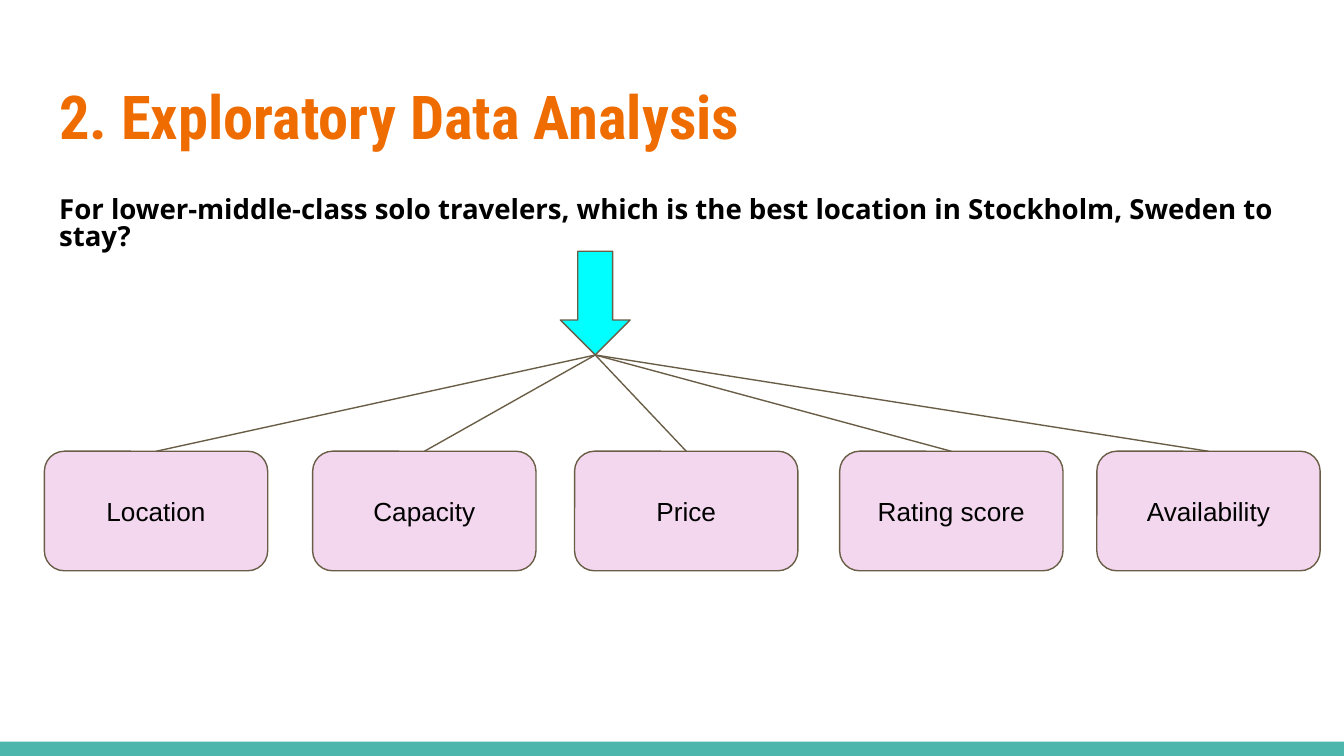
"""Build the exploratory data analysis slide with its question and five factors."""
from dataclasses import dataclass

from lxml.etree import SubElement
from pptx import Presentation
from pptx.dml.color import RGBColor
from pptx.enum.shapes import MSO_CONNECTOR as Connector, MSO_SHAPE as Shape
from pptx.enum.text import MSO_ANCHOR as Anchor, MSO_AUTO_SIZE as AutoSize, PP_ALIGN as Align
from pptx.oxml.ns import qn
from pptx.util import Cm, Pt

COLORS = {
    "background": "FFFFFF",
    "footer": "4DB6AC",
    "title": "EF6C00",
    "text": "000000",
    "arrow": "00FFFF",
    "factor": "F2D7EE",
    "outline": "695D46",
}
BOTTOM, TOP = 2, 0


@dataclass(frozen=True)
class Area:
    left: float
    top: float
    width: float
    height: float

    def lengths(self) -> tuple:
        return tuple(Cm(value) for value in (self.left, self.top, self.width, self.height))


@dataclass(frozen=True)
class Style:
    font: str
    size: float
    color: str
    bold: bool = False


@dataclass(frozen=True)
class Factor:
    label: str
    left: float


TITLE_STYLE = Style("Roboto Condensed", 32.4, "title", True)
QUESTION_STYLE = Style("Open Sans", 14.8, "text", True)
FACTOR_STYLE = Style("Arial", 14, "text")
FACTORS = [
    Factor("Location", 0.84),
    Factor("Capacity", 5.91),
    Factor("Price", 10.86),
    Factor("Rating score", 15.87),
    Factor("Availability", 20.73),
]


def color(name: str) -> RGBColor:
    return RGBColor.from_string(COLORS[name])


def write(box, text: str, style: Style, align=Align.LEFT, anchor=Anchor.TOP):
    frame = box.text_frame
    frame.word_wrap = True
    frame.auto_size = AutoSize.NONE
    frame.vertical_anchor = anchor
    frame.margin_left = frame.margin_right = Cm(0.25)
    frame.margin_top = frame.margin_bottom = Cm(0.25)
    para = frame.paragraphs[0]
    para.alignment = align
    span = para.add_run()
    span.text = text
    span.font.name = style.font
    span.font.size = Pt(style.size)
    span.font.bold = style.bold
    span.font.color.rgb = color(style.color)
    return para


def outline(line) -> None:
    line.color.rgb = color("outline")
    line.width = Pt(0.75)


def draw_shape(page, kind, area: Area, fill: str, outlined: bool = True):
    box = page.shapes.add_shape(kind, *area.lengths())
    box.shadow.inherit = False
    box.fill.solid()
    box.fill.fore_color.rgb = color(fill)
    if outlined:
        outline(box.line)
    else:
        box.line.fill.background()
    return box


def draw_factor(page, factor: Factor):
    area = Area(factor.left, 8.53, 4.22, 2.26)
    box = draw_shape(page, Shape.ROUNDED_RECTANGLE, area, "factor")
    write(box, factor.label, FACTOR_STYLE, Align.CENTER, Anchor.MIDDLE)
    return box


def join(page, source, target) -> None:
    link = page.shapes.add_connector(Connector.STRAIGHT, 0, 0, 0, 0)
    link.begin_connect(source, BOTTOM)
    link.end_connect(target, TOP)
    outline(link.line)
    SubElement(link.element.spPr, qn("a:effectLst"))


def main() -> None:
    deck = Presentation()
    deck.slide_width, deck.slide_height = Cm(25.4), Cm(14.29)
    page = deck.slides.add_slide(deck.slide_layouts[5])
    page.background.fill.solid()
    page.background.fill.fore_color.rgb = color("background")

    draw_shape(page, Shape.RECTANGLE, Area(0, 14.02, 25.4, 0.27), "footer", outlined=False)

    title = page.shapes.title
    title.left, title.top, title.width, title.height = Area(0.87, 1.25, 23.67, 1.95).lengths()
    write(title, "2. Exploratory Data Analysis", TITLE_STYLE)

    question = page.shapes.add_textbox(*Area(0.87, 3.5, 23.67, 2.26).lengths())
    para = write(
        question,
        "For lower-middle-class solo travelers, which is the best location in Stockholm, Sweden to stay?",
        QUESTION_STYLE,
    )
    para.line_spacing = 0.8

    arrow = draw_shape(page, Shape.DOWN_ARROW, Area(10.59, 4.75, 1.32, 1.96), "arrow")
    boxes = [draw_factor(page, factor) for factor in FACTORS]
    for box in boxes:
        join(page, arrow, box)

    deck.save("out.pptx")


if __name__ == "__main__":
    main()
